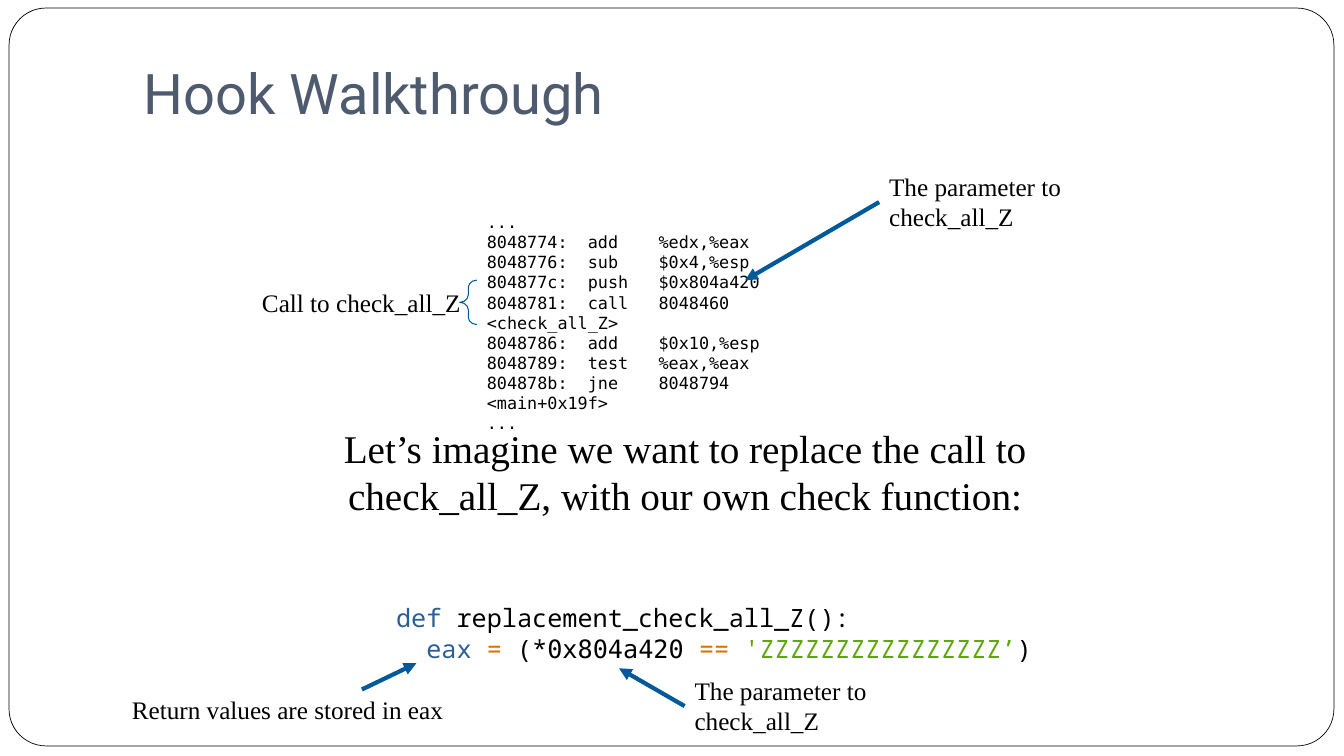
from pptx import Presentation
from pptx.dml.color import RGBColor as RGB
from pptx.enum.shapes import MSO_CONNECTOR as Link, MSO_SHAPE as Shape
from pptx.enum.text import MSO_ANCHOR as Anchor, PP_ALIGN as Align
from pptx.oxml.ns import qn
from pptx.util import Pt
from lxml.etree import SubElement

PX = 9144
BLACK = RGB(0, 0, 0)
WHITE = RGB(255, 255, 255)
SLATE = RGB(0x4E, 0x5B, 0x6F)
BLUE = RGB(0x00, 0x5A, 0x9A)
NAVY = RGB(0x29, 0x5E, 0x99)
ORANGE = RGB(0xD9, 0x71, 0x00)
GREEN = RGB(0x5E, 0xA7, 0x02)
SERIF = "Times New Roman"
MONO = "Noto Sans Mono"
DEJAVU = "DejaVu Sans Mono"

ASM = """...
8048774:  add    %edx,%eax
8048776:  sub    $0x4,%esp
804877c:  push   $0x804a420
8048781:  call   8048460 <check_all_Z>
8048786:  add    $0x10,%esp
8048789:  test   %eax,%eax
804878b:  jne    8048794 <main+0x19f>
..."""
HOOK = [
    [("def ", NAVY, MONO), ("replacement_check_all_Z():", BLACK, MONO)],
    [("  eax ", NAVY, MONO), ("= ", ORANGE, MONO), ("(*", BLACK, MONO),
     ("0x804a420 ", BLACK, DEJAVU), ("== ", ORANGE, MONO),
     ("'ZZZZZZZZZZZZZZZZ’", GREEN, MONO), (")", BLACK, MONO)],
]
PARAM = "The parameter to check_all_Z"


def emu(*nums):
    """Turn px lengths into EMU."""
    return [round(num * PX) for num in nums]


def write(slide, box, text, size=18, font=SERIF, color=BLACK, align=Align.LEFT,
          anchor=Anchor.TOP, wrap=True, foot=5):
    """Place text, given as a string or as lines of (text, colour, font) runs."""
    label = slide.shapes.add_textbox(*emu(*box))
    frame = label.text_frame
    frame.word_wrap = wrap
    frame.vertical_anchor = anchor
    frame.margin_bottom = emu(foot)[0]
    if isinstance(text, str):
        text = [[(line, color, font)] for line in text.split("\n")]
    for i, line in enumerate(text):
        para = frame.add_paragraph() if i else frame.paragraphs[0]
        para.alignment = align
        for words, tint, face in line:
            run = para.add_run()
            run.text = words
            run.font.size = Pt(size)
            run.font.name = face
            run.font.color.rgb = tint
    return label


def arrow(slide, start, end, label=None):
    """Draw an arrow, joined to the left side of a label if one is given."""
    line = slide.shapes.add_connector(Link.STRAIGHT, *emu(*start, *end))
    if label is not None:
        line.begin_connect(label, 1)
    line.line.color.rgb = BLUE
    line.line.width = Pt(3)
    props = line._element.spPr
    SubElement(props.find(qn("a:ln")), qn("a:tailEnd"), type="triangle")
    SubElement(props, qn("a:effectLst"))


def outline(slide, kind, box, color, width, bends, fill=None):
    """Draw an outlined preset shape."""
    shape = slide.shapes.add_shape(kind, *emu(*box))
    shape.shadow.inherit = False
    for i, bend in enumerate(bends):
        shape.adjustments[i] = bend
    if fill is None:
        shape.fill.background()
    else:
        shape.fill.solid()
        shape.fill.fore_color.rgb = fill
    shape.line.color.rgb = color
    shape.line.width = Pt(width)


def param(slide, box, tip):
    """Label the parameter and point from the label to the tip."""
    x, y, w, h = box
    label = write(slide, box, PARAM)
    arrow(slide, (x, y + h / 2), (x + tip[0], y + tip[1]), label)


def listing(slide, box):
    """Place the assembly listing with its brace and notes."""
    x, y, w, h = box
    write(slide, box, ASM, size=12, font=DEJAVU)
    param(slide, (x + 399, y - 40, 268, 71), (-133, 113))
    outline(slide, Shape.LEFT_BRACE, (x - 17, y + 73, 17, 44), BLUE, 0.75, (0.43, 0.5))
    write(slide, (x - 223, y + 75, 255, 40), "Call to check_all_Z")


def hook(slide, box):
    """Place the replacement function with its notes."""
    x, y, w, h = box
    write(slide, box, HOOK)
    write(slide, (x - 262, y + 91, 336, 40), "Return values are stored in eax", wrap=False)
    arrow(slide, (x - 24, y + 91), (x + 30, y + 65))
    param(slide, (x + 296, y + 72, 268, 71), (-65, -2))


def main():
    """Build the slide and save it."""
    deck = Presentation()
    deck.slide_width, deck.slide_height = emu(1333, 750)
    slide = deck.slides.add_slide(deck.slide_layouts[6])
    outline(slide, Shape.ROUNDED_RECTANGLE, (9, 8, 1314, 732), BLACK, 0.5, (0.05,), WHITE)
    write(slide, (133, 13, 1133, 122), "Hook Walkthrough", size=40, font="Roboto",
          color=SLATE, anchor=Anchor.BOTTOM, foot=10)
    listing(slide, (473, 205, 382, 192))
    write(slide, (304, 416, 751, 104),
          "Let’s imagine we want to replace the call to check_all_Z, "
          "with our own check function:", size=28, align=Align.CENTER)
    hook(slide, (383, 593, 670, 71))
    deck.save("out.pptx")


if __name__ == "__main__":
    main()
